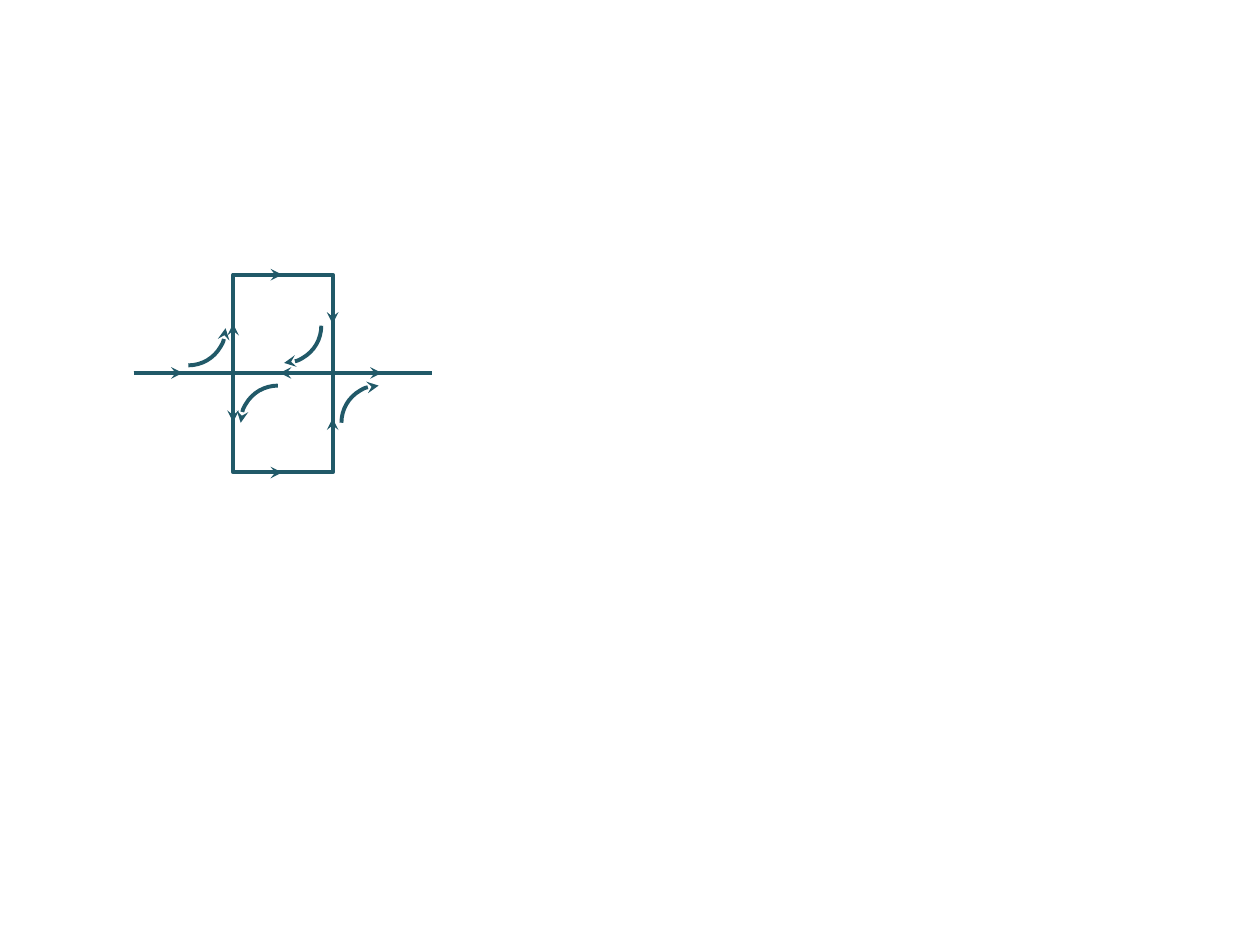
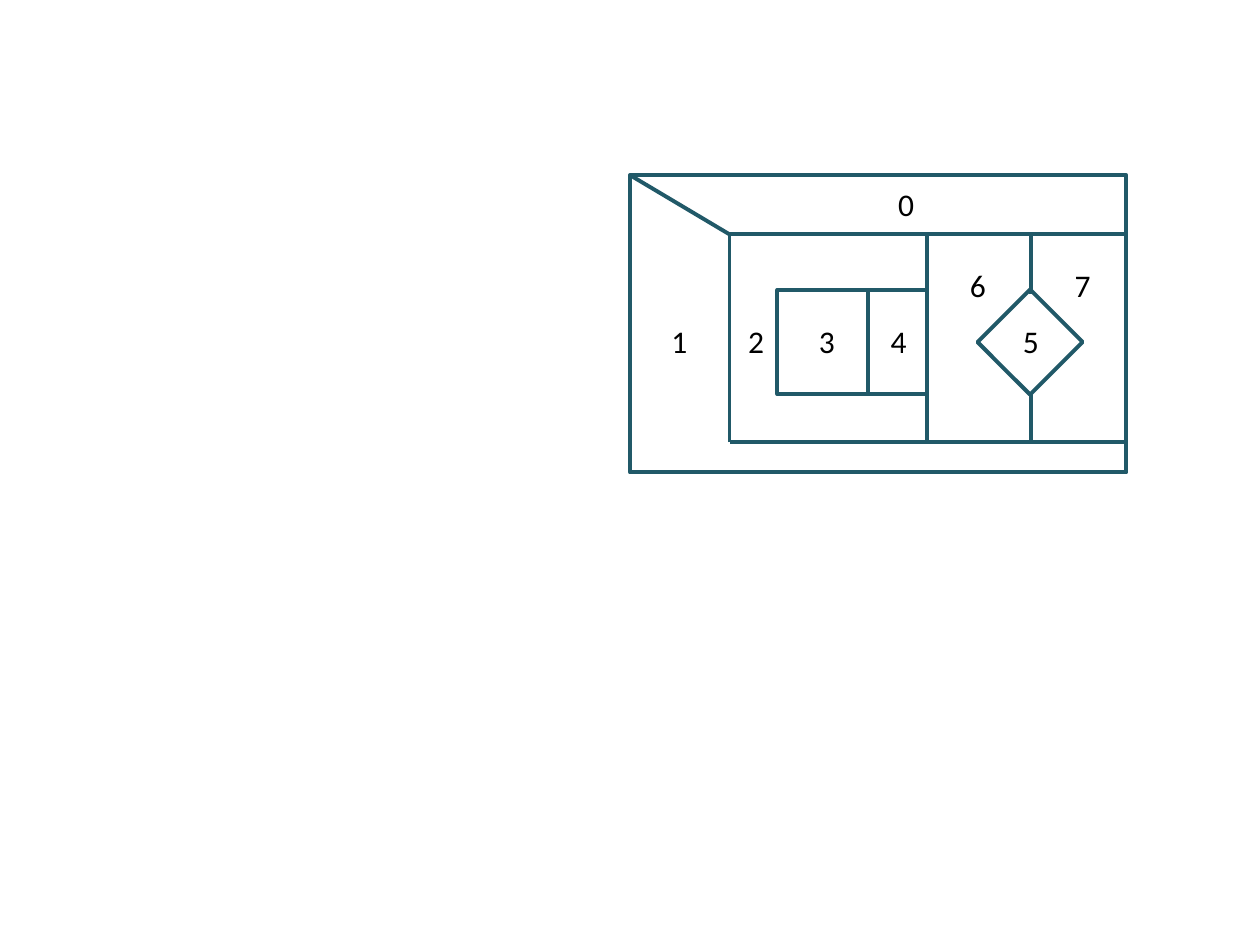
from lxml import etree
from pptx import Presentation
from pptx.dml.color import RGBColor
from pptx.enum.shapes import MSO_CONNECTOR, MSO_SHAPE
from pptx.enum.text import MSO_AUTO_SIZE
from pptx.oxml.ns import qn
from pptx.util import Inches, Pt

COLORS = {"line": "215968", "text": "000000"}


class Diagram:
    """Holds the shared style and the slide being drawn."""

    font_name = "Calibri"
    font_size = Pt(18)
    line_width = Pt(2.25)

    def __init__(self, presentation):
        self.presentation = presentation
        self.slide = None

    def new_slide(self):
        self.slide = self.presentation.slides.add_slide(self.presentation.slide_layouts[6])

    def style_line(self, shape, arrow=False):
        shape.line.color.rgb = RGBColor.from_string(COLORS["line"])
        shape.line.width = self.line_width
        if arrow:
            etree.SubElement(shape.line._get_or_add_ln(), qn("a:tailEnd"), type="stealth")

    def outline(self, kind, left, top, width, height, rotation=0, flip=False, arrow=False):
        shape = self.slide.shapes.add_shape(
            kind, Inches(left), Inches(top), Inches(width), Inches(height))
        shape.shadow.inherit = False
        shape.fill.background()
        shape.rotation = rotation
        if flip:
            shape._element.spPr.find(qn("a:xfrm")).set("flipV", "1")
        self.style_line(shape, arrow)

    def line(self, start, end, arrow=False):
        connector = self.slide.shapes.add_connector(
            MSO_CONNECTOR.STRAIGHT, *(Inches(value) for value in (*start, *end)))
        self.style_line(connector, arrow)
        etree.SubElement(connector._element.spPr, qn("a:effectLst"))

    def turn(self, left, top, rotation=0, flip=False):
        self.outline(MSO_SHAPE.ARC, left, top, 0.59, 0.59, rotation, flip, arrow=True)

    def label(self, text, left, top):
        box = self.slide.shapes.add_textbox(
            Inches(left), Inches(top), Inches(0.33), Inches(0.4))
        frame = box.text_frame
        frame.word_wrap = False
        frame.auto_size = MSO_AUTO_SIZE.SHAPE_TO_FIT_TEXT
        paragraph = frame.paragraphs[0]
        paragraph.text = text
        paragraph.font.name = self.font_name
        paragraph.font.size = self.font_size
        paragraph.font.color.rgb = RGBColor.from_string(COLORS["text"])


def draw_path_crossing(diagram):
    diagram.new_slide()
    left, right, top, middle, bottom = 1.85, 2.64, 2.18, 2.96, 3.75
    start, end = 1.06, 3.43

    # Closed loop and the line through it
    diagram.outline(MSO_SHAPE.RECTANGLE, left, top, right - left, bottom - top)
    diagram.line((start, middle), (end, middle))

    # Direction arrows: start point and unit direction
    length = 0.39
    for x, y, across, down in (
            (start, middle, 1, 0), (left, top, 1, 0), (right, middle, 1, 0),
            (right, 3.71, 0, -1), (left, bottom, 1, 0), (left, middle, 0, -1),
            (left, middle, 0, 1), (2.61, middle, -1, 0), (right, top, 0, 1)):
        diagram.line((x, y), (x + across * length, y + down * length), arrow=True)

    # Curved arrows at the crossings
    diagram.turn(1.96, 2.29, rotation=90)
    diagram.turn(2.71, 3.06, rotation=270)
    diagram.turn(1.2, 2.31, flip=True)
    diagram.turn(1.91, 3.06, rotation=180, flip=True)


def draw_regions(diagram):
    diagram.new_slide()
    left, top, right, bottom = 5, 1.39, 8.94, 3.75
    inner_left, inner_top, inner_bottom = 5.79, 1.86, 3.51
    divider, axis = 7.36, 8.18
    box_left, box_top, box_bottom, box_split = 6.17, 2.3, 3.13, 6.89

    # Frame, box and diamond
    diagram.outline(MSO_SHAPE.RECTANGLE, left, top, right - left, bottom - top)
    diagram.outline(MSO_SHAPE.RECTANGLE, box_left, box_top,
                    divider - box_left, box_bottom - box_top)
    diagram.outline(MSO_SHAPE.RECTANGLE, 7.88, 2.42, 0.59, 0.59, rotation=45)

    # Region borders
    diagram.line((left, top), (inner_left, inner_top))
    for y in (inner_top, inner_bottom):
        diagram.line((inner_left, y), (right, y))
    for x, y_start, y_end in (
            (inner_left, inner_bottom, inner_top), (divider, inner_bottom, inner_top),
            (axis, inner_top, 2.33), (axis, inner_bottom, box_bottom),
            (box_split, box_top, box_bottom)):
        diagram.line((x, y_start), (x, y_end))

    # Region numbers
    upper, center = 2.06, 2.51
    positions = ((7.03, 1.42), (5.23, center), (5.84, center), (6.4, center),
                 (6.97, center), (8.02, center), (7.6, upper), (8.43, upper))
    for number, (x, y) in enumerate(positions):
        diagram.label(str(number), x, y)


presentation = Presentation()
presentation.slide_width = Inches(10)
presentation.slide_height = Inches(7.5)
diagram = Diagram(presentation)
draw_path_crossing(diagram)
draw_regions(diagram)
presentation.save("out.pptx")
